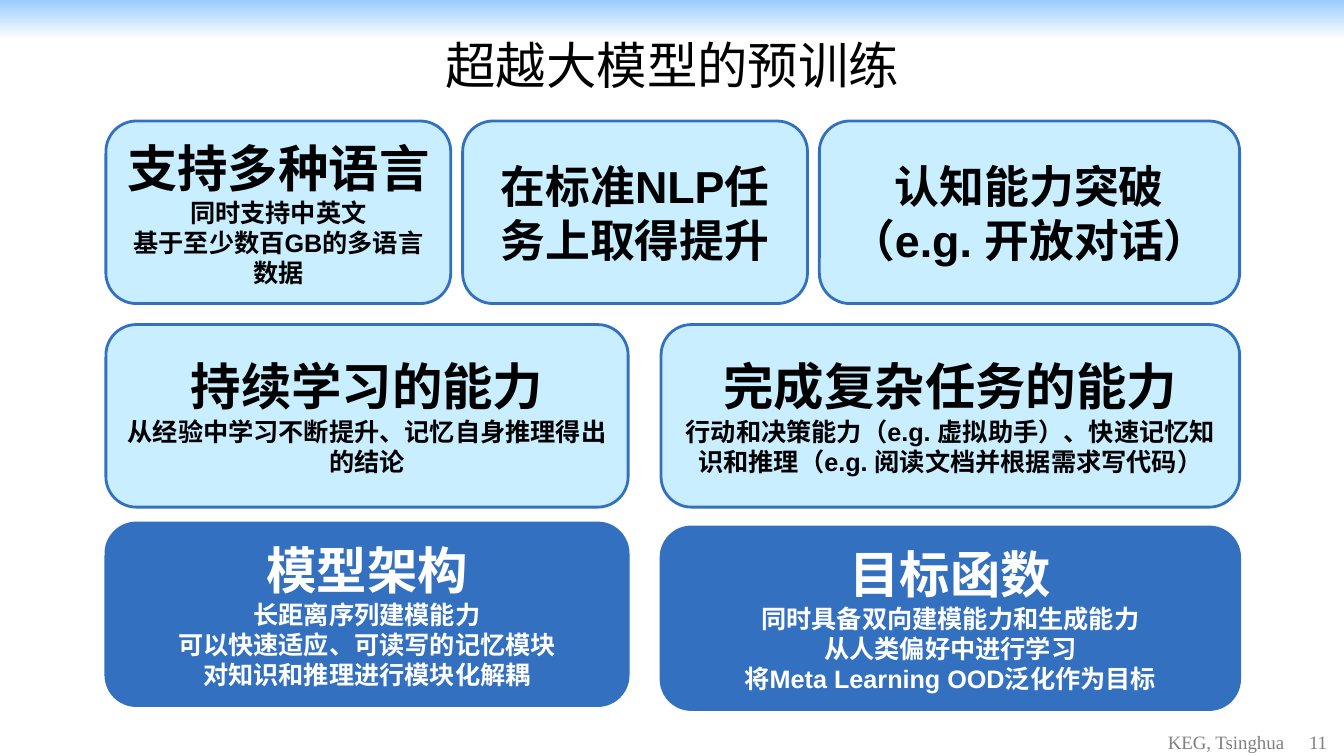
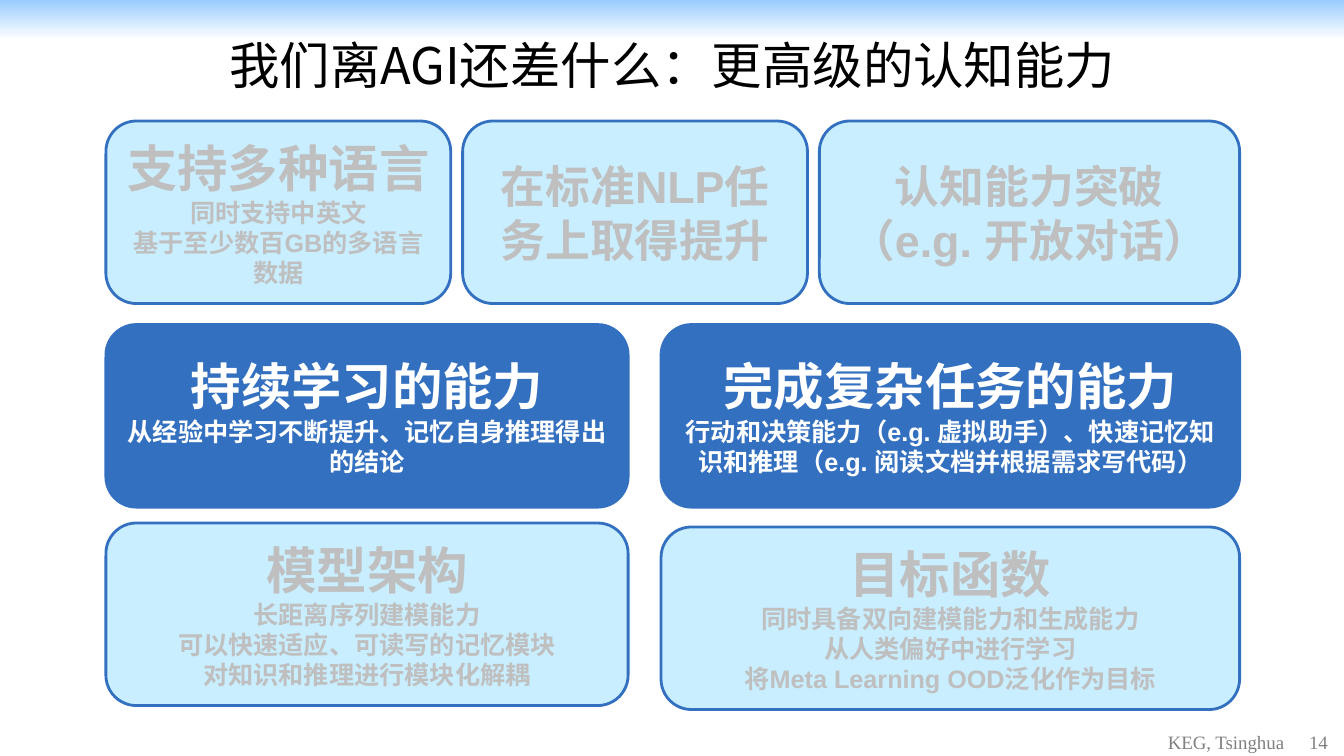
"""Build two slides on the abilities that pre-trained models still need."""
from lxml import etree
from pptx import Presentation
from pptx.dml.color import RGBColor
from pptx.enum.shapes import MSO_SHAPE
from pptx.enum.text import MSO_ANCHOR, MSO_AUTO_SIZE, PP_ALIGN
from pptx.oxml.ns import qn
from pptx.util import Cm, Pt

RECT, ROUND = MSO_SHAPE.RECTANGLE, MSO_SHAPE.ROUNDED_RECTANGLE
LEFT, CENTER = PP_ALIGN.LEFT, PP_ALIGN.CENTER
MIDDLE, FIXED = MSO_ANCHOR.MIDDLE, MSO_AUTO_SIZE.NONE

HUES = {"sky": "99CCFF", "white": "FFFFFF", "blue": "3470C0", "pale": "C8EEFF",
        "black": "000000", "faint": "BFBFBF", "grey": "808080"}
STYLES = {"plain": ("pale", "black"), "strong": ("blue", "white"), "faded": ("pale", "faint")}
WIDE, HIGH, EDGE, TALL = 33.87, 19.05, 2.67, 4.6

ROWS = [
    (0.3, [
        (3.05, 8.69, 36, ["支持多种语言", "同时支持中英文", "基于至少数百GB的多语言数据"]),
        (3.05, 8.69, 32, ["在标准NLP任务上取得提升"]),
        (3.05, 10.59, 32, ["认知能力突破（e.g. 开放对话）"]),
    ]),
    (0.83, [
        (8.18, 13.16, 36, ["持续学习的能力", "从经验中学习不断提升、记忆自身推理得出的结论"]),
        (8.18, 14.58, 36, ["完成复杂任务的能力",
                           "行动和决策能力（e.g. 虚拟助手）、快速记忆知识和推理（e.g. 阅读文档并根据需求写代码）"]),
    ]),
    (0.83, [
        (13.18, 13.16, 36, ["模型架构", "长距离序列建模能力",
                            "可以快速适应、可读写的记忆模块", "对知识和推理进行模块化解耦"]),
        (13.28, 14.58, 36, ["目标函数", "同时具备双向建模能力和生成能力",
                            "从人类偏好中进行学习", "将Meta Learning OOD泛化作为目标"]),
    ]),
]
PAGES = [
    ("超越大模型的预训练", 11, ["plain", "plain", "strong"]),
    ("我们离AGI还差什么：更高级的认知能力", 14, ["faded", "strong", "faded"]),
]


def color(name):
    return RGBColor.from_string(HUES[name])


def write(shape, lines, size, hue, face="Arial", bold=False, align=CENTER, rest=18, tab=None):
    frame = shape.text_frame
    frame.word_wrap = True
    frame.auto_size = FIXED
    frame.vertical_anchor = MIDDLE
    for i, line in enumerate(lines):
        para = frame.add_paragraph() if i else frame.paragraphs[0]
        para.alignment = align
        if tab:
            tabs = etree.SubElement(para._p.get_or_add_pPr(), qn("a:tabLst"))
            etree.SubElement(tabs, qn("a:tab"), pos=str(tab), algn="l")
        run = para.add_run()
        run.text = line
        font = run.font
        font.size = Pt(rest if i else size)
        font.bold = bold
        font.color.rgb = color(hue)
        font.name = face
        etree.SubElement(run._r.get_or_add_rPr(), qn("a:ea"), typeface=face)


deck = Presentation()
deck.slide_width, deck.slide_height = Cm(WIDE), Cm(HIGH)
layout = deck.slide_layouts[5]

for page, (head, number, looks) in enumerate(PAGES):
    slide = deck.slides.add_slide(layout)
    shapes = slide.shapes

    if page == 0:
        band = shapes.add_shape(RECT, 0, 0, Cm(WIDE), Cm(1))
        band.shadow.inherit = False
        band.line.fill.background()
        band.fill.gradient()
        band.fill.gradient_angle = 270
        for stop, spot, hue in zip(band.fill.gradient_stops, (0, 1), ("sky", "white")):
            stop.position = spot
            stop.color.rgb = color(hue)
        layout.shapes.element.append(band.element)

    title = shapes.title
    title.left, title.top, title.width, title.height = Cm(0.94), Cm(0.53), Cm(32), Cm(2.2)
    write(title, [head], 36, "black", face="Noto Sans CJK SC")

    for (gap, cards), look in zip(ROWS, looks):
        fill, ink = STYLES[look]
        left = EDGE
        for top, width, size, lines in cards:
            card = shapes.add_shape(ROUND, Cm(left), Cm(top), Cm(width), Cm(TALL))
            card.shadow.inherit = False
            card.fill.solid()
            card.fill.fore_color.rgb = color(fill)
            card.line.color.rgb = color("blue")
            card.line.width = Pt(2)
            write(card, lines, size, ink, bold=True)
            left += width + gap

    foot = shapes.add_textbox(Cm(29.13), Cm(18.06), Cm(4.74), Cm(0.99))
    frame = foot.text_frame
    frame.margin_left, frame.margin_right = Cm(0.3), 0
    frame.margin_top = Cm(0.3)
    frame.margin_bottom = 0
    write(foot, [f"KEG, Tsinghua\t{number}"], 13.5, "grey",
          face="Times New Roman", align=LEFT, tab=Cm(3.56))

deck.save("out.pptx")
